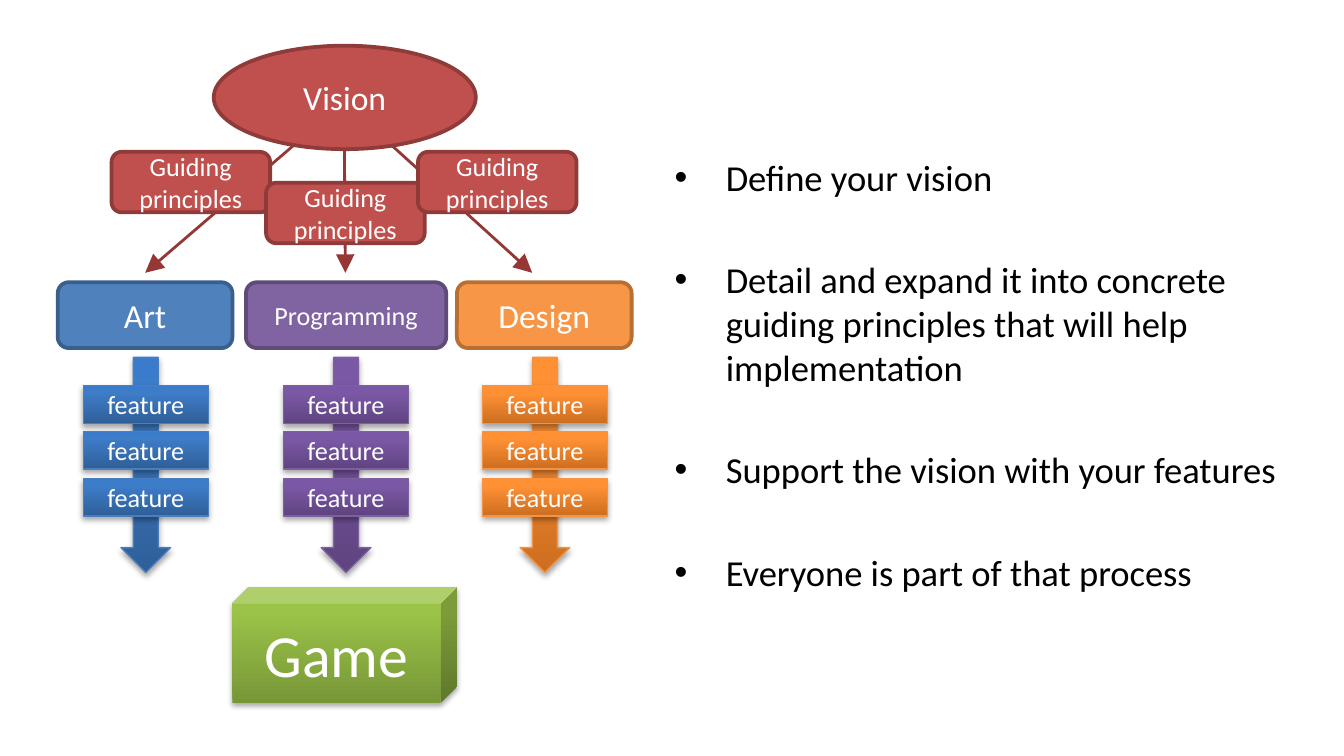
from dataclasses import dataclass

from lxml import etree
from pptx import Presentation
from pptx.dml.color import RGBColor
from pptx.enum.shapes import MSO_CONNECTOR, MSO_SHAPE
from pptx.enum.text import MSO_ANCHOR, MSO_AUTO_SIZE, PP_ALIGN
from pptx.oxml import parse_xml
from pptx.oxml.ns import nsdecls, qn
from pptx.util import Inches, Pt

RECT = MSO_SHAPE.RECTANGLE
ROUND = MSO_SHAPE.ROUNDED_RECTANGLE
OVAL = MSO_SHAPE.OVAL
CUBE = MSO_SHAPE.CUBE
DOWN_ARROW = MSO_SHAPE.DOWN_ARROW
STRAIGHT = MSO_CONNECTOR.STRAIGHT
CENTER = PP_ALIGN.CENTER
MIDDLE = MSO_ANCHOR.MIDDLE
TOP = MSO_ANCHOR.TOP
NO_AUTOFIT = MSO_AUTO_SIZE.NONE

FONT = "Calibri"
COLORS = {
    "text": "000000", "light": "FFFFFF", "link": "953735",
    "vision": "C0504D", "vision_line": "8E3B39",
    "art": "4F81BD", "art_line": "3A5F8C", "art_edge": "4B7EBC",
    "programming": "8064A2", "programming_line": "5F4A78", "programming_edge": "7D60A0",
    "design": "F79646", "design_line": "B76F34", "design_edge": "F69240",
}
GRADIENTS = {
    "art": ("2F5F99", "3D7CC7", "3A7CCB"),
    "programming": ("5F4480", "7B58A6", "7C57A8"),
    "design": ("CC6E20", "FF9034", "FF9136"),
    "game": ("779737", "9BC348", "9DC746"),
}
STOPS = (0, 80, 100)
FEATURE_TOPS = (2.87, 3.21, 3.56)
LINK_START = (2.56, 0.76)
LINK_BOTTOM = 2.03
BULLETS = (
    "Define your vision",
    "Detail and expand it into concrete guiding principles that will help implementation",
    "Support the vision with your features",
    "Everyone is part of that process",
)


@dataclass
class Box:
    x: float
    y: float
    w: float
    h: float


@dataclass
class Discipline:
    key: str
    label: str
    size: int
    left: float
    width: float
    axis: float
    link_x: float


DISCIPLINES = (
    Discipline("art", "Art", 18, 0.43, 1.3, 1.08, 1.08),
    Discipline("programming", "Programming", 14, 1.83, 1.49, 2.57, 2.57),
    Discipline("design", "Design", 18, 3.4, 1.3, 4.05, 3.96),
)
PRINCIPLES = ((0.83, 1.13), (1.98, 1.36), (3.11, 1.13))


def rgb(name: str) -> RGBColor:
    return RGBColor.from_string(COLORS[name])


def add_run(p, text: str, size: float, color: str) -> None:
    r = p.add_run()
    r.text = text
    r.font.name = FONT
    r.font.size = Pt(size)
    r.font.color.rgb = rgb(color)


def add_box(slide, kind, box: Box, text: str = "", size: float = 14):
    s = slide.shapes.add_shape(
        kind, Inches(box.x), Inches(box.y), Inches(box.w), Inches(box.h))
    s.shadow.inherit = False
    if text:
        tf = s.text_frame
        tf.word_wrap = True
        tf.vertical_anchor = MIDDLE
        p = tf.paragraphs[0]
        p.alignment = CENTER
        add_run(p, text, size, "light")
    return s


def style_flat(s, key: str) -> None:
    s.fill.solid()
    s.fill.fore_color.rgb = rgb(key)
    s.line.color.rgb = rgb(f"{key}_line")
    s.line.width = Pt(2)


def style_glossy(s, key: str) -> None:
    stops = "".join(
        f'<a:gs pos="{pos * 1000}"><a:srgbClr val="{color}"/></a:gs>'
        for pos, color in zip(STOPS, GRADIENTS[key]))
    sp_pr = s._element.spPr
    sp_pr.find(qn("a:prstGeom")).addnext(parse_xml(
        f'<a:gradFill {nsdecls("a")} rotWithShape="1"><a:gsLst>{stops}</a:gsLst>'
        '<a:lin ang="16200000" scaled="0"/></a:gradFill>'))
    sp_pr.find(qn("a:effectLst")).append(parse_xml(
        f'<a:outerShdw {nsdecls("a")} blurRad="{Pt(3.1)}" dist="{Pt(1.8)}" '
        'dir="5400000" rotWithShape="0"><a:srgbClr val="000000">'
        '<a:alpha val="35000"/></a:srgbClr></a:outerShdw>'))
    if f"{key}_edge" in COLORS:
        s.line.color.rgb = rgb(f"{key}_edge")
        s.line.width = Pt(0.75)
    else:
        s.line.fill.background()


def add_link(slide, end_x: float) -> None:
    x, y = LINK_START
    c = slide.shapes.add_connector(
        STRAIGHT, Inches(x), Inches(y), Inches(end_x), Inches(LINK_BOTTOM))
    c.line.color.rgb = rgb("link")
    c.line.width = Pt(1.5)
    etree.SubElement(c.line._get_or_add_ln(), qn("a:tailEnd"),
                     type="triangle", w="lg", len="lg")
    etree.SubElement(c._element.spPr, qn("a:effectLst"))


def fill_body(body) -> None:
    body.left, body.top = Inches(4.92), Inches(1.1)
    body.width, body.height = Inches(4.96), Inches(3.45)
    tf = body.text_frame
    tf.word_wrap = True
    tf.auto_size = NO_AUTOFIT
    tf.vertical_anchor = TOP
    for i, text in enumerate(BULLETS):
        p = tf.add_paragraph() if i else tf.paragraphs[0]
        p.space_before = Pt(31.4 if i else 0)
        p_pr = p._p.get_or_add_pPr()
        p_pr.set("marL", str(Inches(0.38)))
        p_pr.set("indent", str(-Inches(0.38)))
        etree.SubElement(p_pr, qn("a:buFont"), typeface="Arial")
        etree.SubElement(p_pr, qn("a:buChar"), char="•")
        add_run(p, text, 19.6, "text")


def main() -> None:
    prs = Presentation()
    prs.slide_width = Inches(10)
    prs.slide_height = Inches(10) * 9 // 16
    slide = prs.slides.add_slide(prs.slide_layouts[1])
    title = slide.shapes.title._element
    title.getparent().remove(title)
    fill_body(slide.placeholders[1])

    for d in DISCIPLINES:
        arrow = add_box(slide, DOWN_ARROW, Box(d.axis - 0.18, 2.66, 0.37, 1.6))
        style_glossy(arrow, d.key)
    for d in DISCIPLINES:
        style_flat(add_box(slide, ROUND, Box(d.left, 2.1, d.width, 0.49),
                           d.label, d.size), d.key)
    for d in DISCIPLINES:
        add_link(slide, d.link_x)
    style_flat(add_box(slide, OVAL, Box(1.59, 0.34, 1.95, 0.77), "Vision", 18), "vision")
    for d in DISCIPLINES:
        for y in FEATURE_TOPS:
            style_glossy(add_box(slide, RECT, Box(d.axis - 0.46, y, 0.93, 0.28),
                                 "feature"), d.key)
    game = add_box(slide, CUBE, Box(1.73, 4.37, 1.67, 0.86), "Game", 32)
    game.adjustments[0] = 0.14
    style_glossy(game, "game")
    for x, y in PRINCIPLES:
        style_flat(add_box(slide, ROUND, Box(x, y, 1.18, 0.45),
                           "Guiding principles"), "vision")

    prs.save("out.pptx")


if __name__ == "__main__":
    main()
